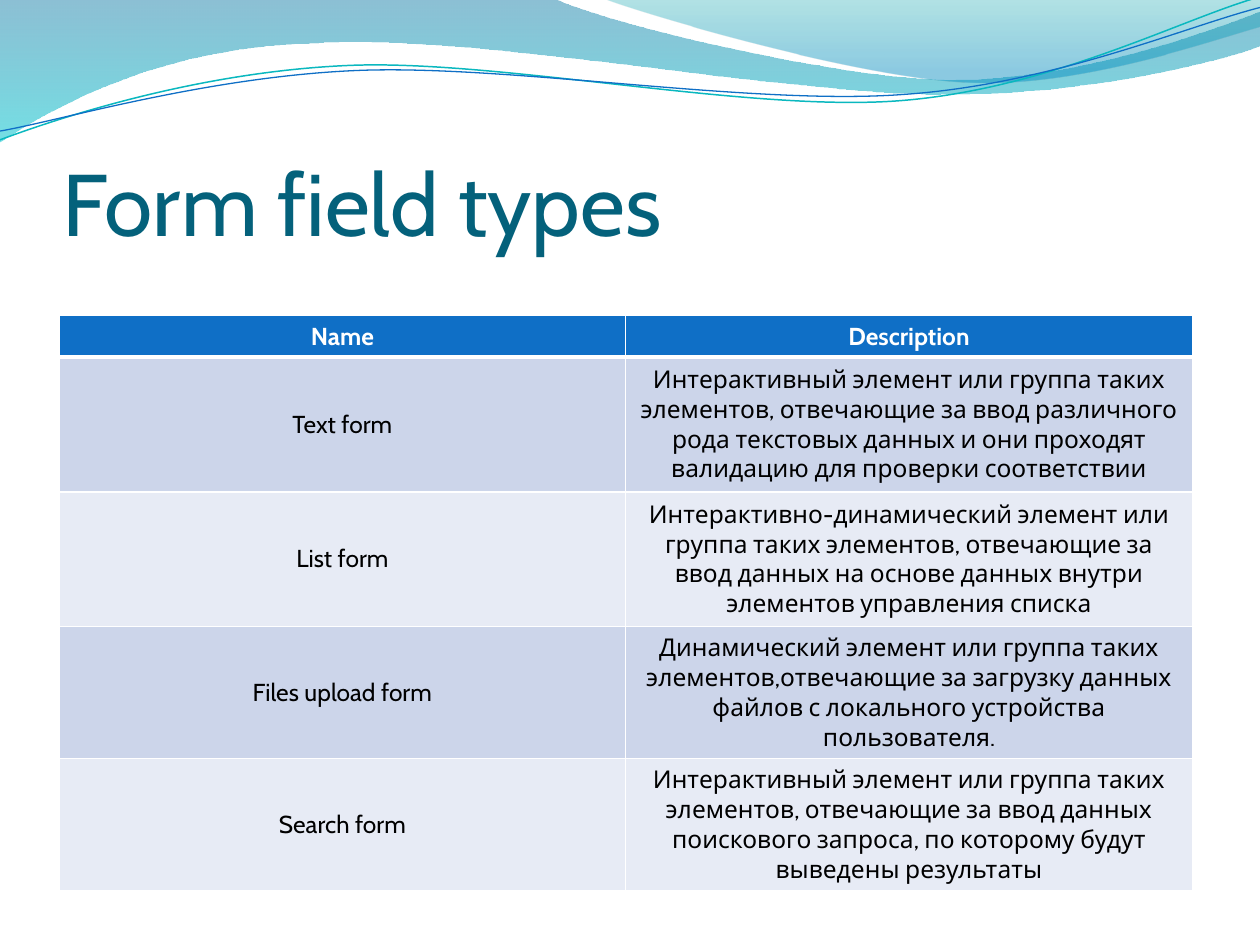
import math

from lxml import etree
from pptx import Presentation
from pptx import util as u
from pptx.dml.color import RGBColor
from pptx.enum import text
from pptx.oxml import parse_xml
from pptx.oxml.ns import qn

Pt = u.Pt
NS = 'xmlns:a="http://schemas.openxmlformats.org/drawingml/2006/main"'


def rgb(value):
    return RGBColor.from_string(value)


def write(tf, content, size=14, color="000000", bold=False,
          align=text.PP_ALIGN.CENTER):
    p = tf.paragraphs[0]
    p.alignment = align
    r = p.add_run()
    r.text = content
    r.font.name = "Cabin"
    r.font.size = Pt(size)
    r.font.bold = bold
    r.font.color.rgb = rgb(color)


prs = Presentation()
prs.slide_width, prs.slide_height = Pt(720), Pt(540)
s = prs.slides.add_slide(prs.slide_layouts[6])

waves = [
    {"start": (0, 0), "stops": [(0, "0074A1", 45), (100, "00C6CF", 55)],
     "segments": [(316.8, -0.7),
                  (342.7, 12.2, 478.1, 45.4, 545.8, 45.4),
                  (614.2, 45.4, 689.8, 18.7, 720, 6.5),
                  (720.7, 25.9),
                  (707.8, 31.7, 626.4, 54.7, 537.1, 54),
                  (447.8, 54, 275, 20.2, 185, 24.5),
                  (92.9, 25.9, 33.1, 59.8, -0.7, 81.4),
                  (0, 0)]},
    {"start": (344.9, -0.7), "stops": [(0, "00A1A9", 30), (80, "008BBF", 45)],
     "segments": [(366.5, 7.9, 491, 44.6, 553.7, 46.8),
                  (616.3, 49.7, 691.9, 23, 720, 15.1),
                  (720, 0),
                  (344.9, -0.7)]},
    {"start": (0, 79.9), "line": ("0AB8BF", 0.85), "center": (359.3, 41.4),
     "segments": [(34.6, 67, 113.8, 41, 199.4, 37.4),
                  (284.4, 33.8, 427, 64.1, 513.4, 57.6),
                  (599.8, 51.1, 675.4, 10.8, 718.6, -1.4)]},
    {"start": (0, 74.9), "line": ("0F6FC6", 0.75), "center": (359.6, 42.5),
     "segments": [(33.8, 69.1, 118.1, 43.9, 203.8, 40.3),
                  (290.2, 36.7, 429.8, 60.5, 516.2, 54),
                  (601.9, 48.2, 677.5, 15.1, 720, 4.3)]},
]
tilt = 2.7
cos, sin = math.cos(math.radians(tilt)), math.sin(math.radians(tilt))
for wave in waves:
    filled = "stops" in wave
    points = [wave["start"]]
    for segment in wave["segments"]:
        points += zip(segment[::2], segment[1::2])
    if not filled:
        cx, cy = wave["center"]
        points = [(cx + (x - cx) * cos - (y - cy) * sin,
                   cy + (x - cx) * sin + (y - cy) * cos) for x, y in points]
    points = [(Pt(x), Pt(y)) for x, y in points]
    builder = s.shapes.build_freeform(*points[0])
    builder.add_line_segments(points[1:], close=filled)
    sp = builder.convert_to_shape()
    sp.shadow.inherit = False
    spPr = sp._element.spPr
    lines = iter(list(spPr.iter(qn("a:lnTo"))))
    for segment in wave["segments"]:
        first = next(lines)
        if len(segment) == 6:
            curve = etree.Element(qn("a:cubicBezTo"))
            first.addprevious(curve)
            for line in (first, next(lines), next(lines)):
                curve.append(line[0])
                line.getparent().remove(line)
    if filled:
        sp.line.fill.background()
        stops = "".join(
            f'<a:gs pos="{pos * 1000}"><a:srgbClr val="{color}">'
            f'<a:alpha val="{alpha * 1000}"/></a:srgbClr></a:gs>'
            for pos, color, alpha in wave["stops"])
        spPr.find(qn("a:custGeom")).addnext(parse_xml(
            f'<a:gradFill {NS} rotWithShape="1"><a:gsLst>{stops}</a:gsLst>'
            '<a:lin ang="5400000" scaled="0"/></a:gradFill>'))
    else:
        sp.rotation = 360 - tilt
        sp.fill.background()
        color, width = wave["line"]
        sp.line.color.rgb = rgb(color)
        sp.line.width = Pt(width)

title = s.shapes.add_textbox(Pt(36), Pt(55), Pt(648), Pt(90))
tf = title.text_frame
tf.word_wrap = True
tf.vertical_anchor = text.MSO_ANCHOR.BOTTOM
tf.margin_left = tf.margin_right = tf.margin_bottom = 0
tf.margin_top = Pt(3.6)
write(tf, "Form field types", size=50, color="04617B",
      align=text.PP_ALIGN.LEFT)

rows = [
    ("Name", "Description"),
    ("Text form", "Интерактивный элемент или группа таких элементов, отвечающие за ввод различного рода текстовых данных и они проходят валидацию для проверки соответствии"),
    ("List form", "Интерактивно-динамический элемент или группа таких элементов, отвечающие за ввод данных на основе данных внутри элементов управления списка"),
    ("Files upload form", "Динамический элемент или группа таких элементов,отвечающие за загрузку данных файлов с локального устройства пользователя."),
    ("Search form", "Интерактивный элемент или группа таких элементов, отвечающие за ввод данных поискового запроса, по которому будут выведены результаты"),
]
heights = [23.5, 77, 77, 75.5, 75.5]
table = s.shapes.add_table(len(rows), 2, Pt(33.8), Pt(180), Pt(647.6),
                           Pt(sum(heights))).table
for column in table.columns:
    column.width = Pt(323.8)
for i, (row, height) in enumerate(zip(rows, heights)):
    table.rows[i].height = Pt(height)
    header = i == 0
    fill = "0F6FC6" if header else ("E7EBF5", "CCD5EA")[i % 2]
    for j, content in enumerate(row):
        cell = table.cell(i, j)
        cell.vertical_anchor = text.MSO_ANCHOR.MIDDLE
        write(cell.text_frame, content, bold=header,
              color="FFFFFF" if header else "000000")
        tcPr = cell._tc.get_or_add_tcPr()
        for side in ("lnL", "lnR", "lnT", "lnB"):
            thick = (i, side) in ((0, "lnB"), (1, "lnT"))
            ln = etree.SubElement(tcPr, qn(f"a:{side}"),
                                  w=str(Pt(3 if thick else 1)))
            solid = etree.SubElement(ln, qn("a:solidFill"))
            etree.SubElement(solid, qn("a:srgbClr"), val="FFFFFF")
        cell.fill.solid()
        cell.fill.fore_color.rgb = rgb(fill)

prs.save("out.pptx")
